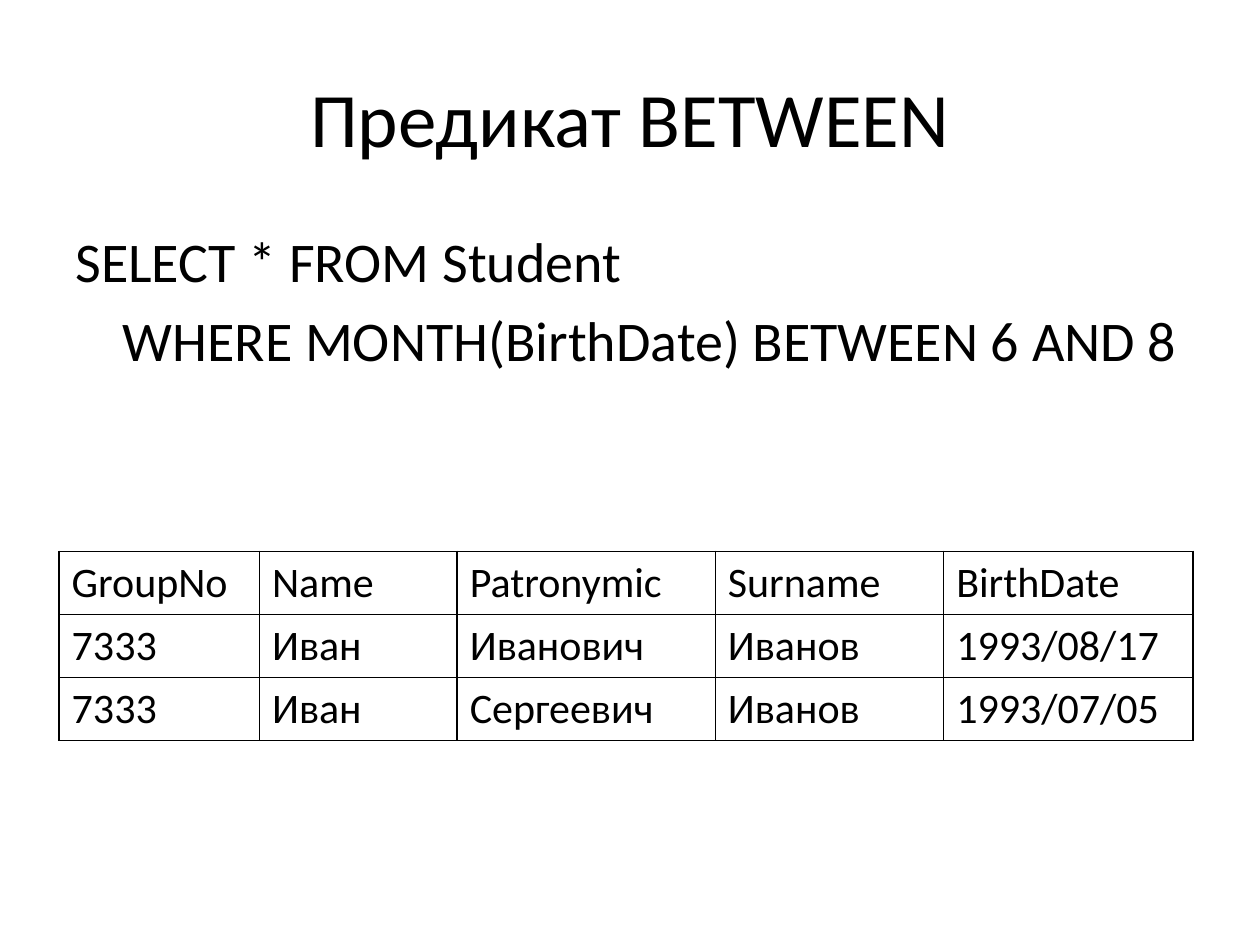
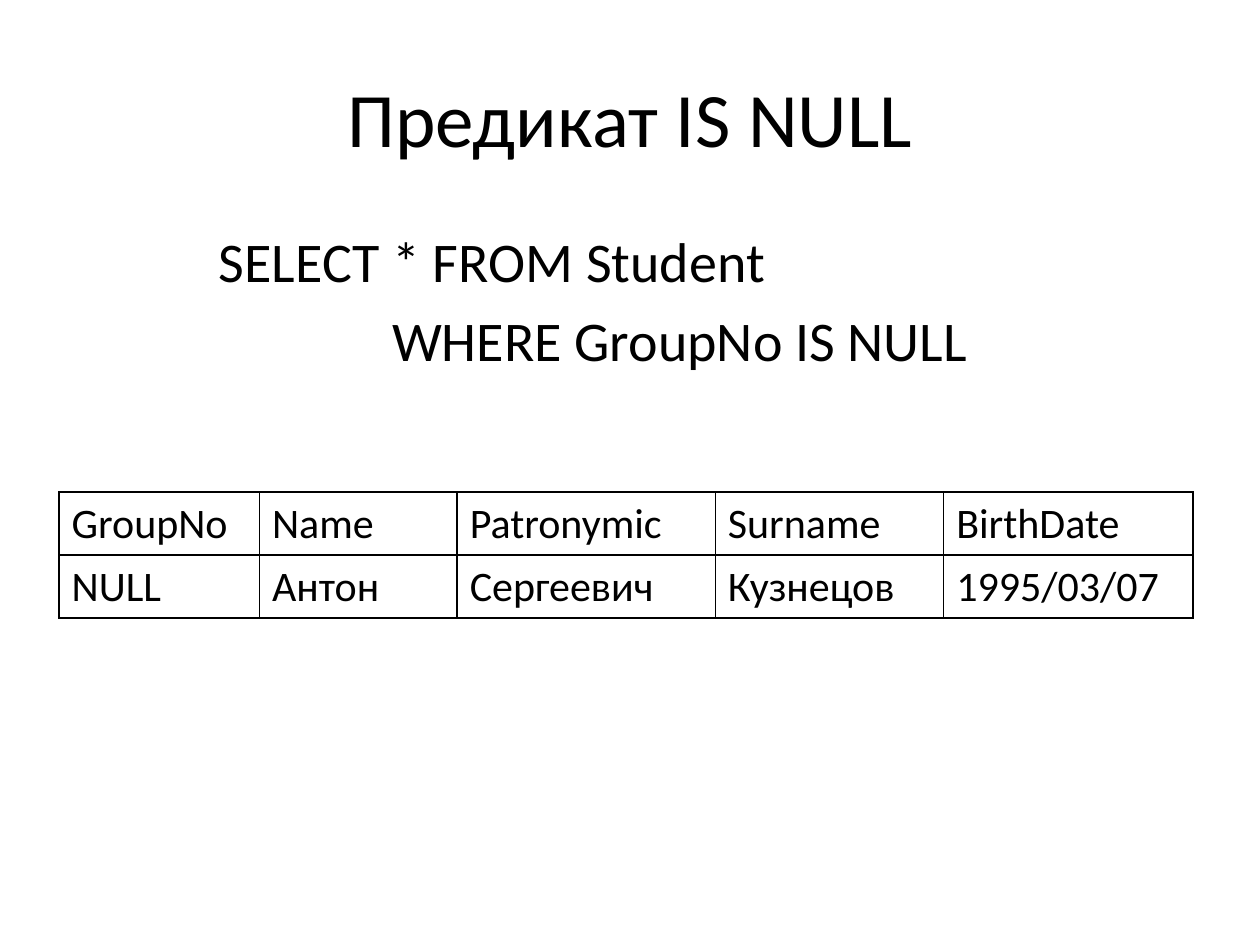
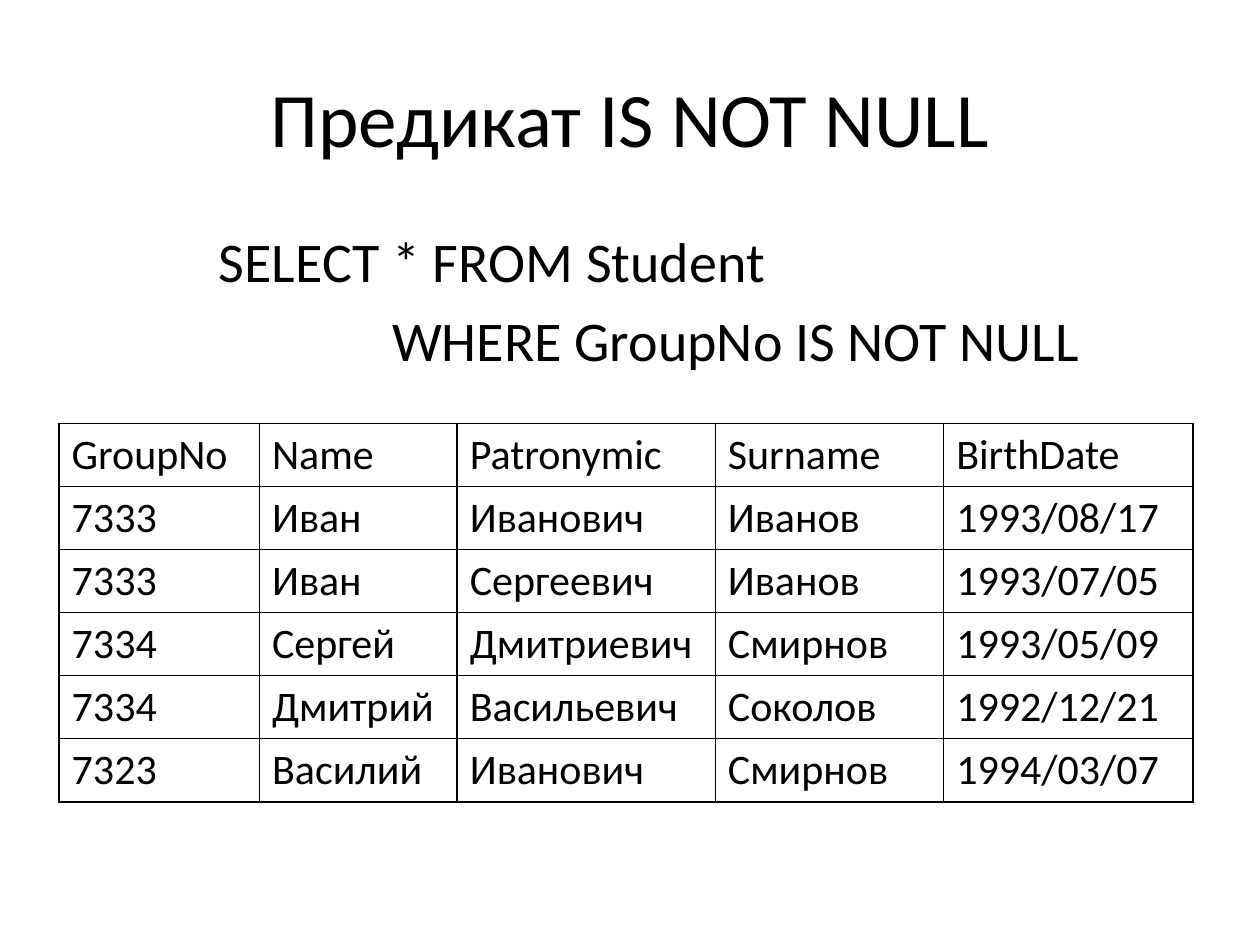
from pptx import Presentation
from pptx.dml.color import RGBColor
from pptx.enum.text import MSO_ANCHOR, PP_ALIGN
from pptx.oxml import parse_xml
from pptx.oxml.ns import nsdecls
from pptx.util import Pt

BLACK = RGBColor(0, 0, 0)
FONT = "Calibri"
TITLE_SIZE, QUERY_SIZE, CELL_SIZE = 44, 32, 24
TITLE_BOX = (36, 21.6, 648, 90)
QUERY_TOP, QUERY_RIGHT = 126, 684
TABLE_LEFT, ROW_HEIGHT = 33.8, 36
COLUMN_WIDTHS = (114.5, 113, 147.5, 130.5, 142.5)
HEADER = ("GroupNo", "Name", "Patronymic", "Surname", "BirthDate")
SUMMER_STUDENTS = [
    ("7333", "Иван", "Иванович", "Иванов", "1993/08/17"),
    ("7333", "Иван", "Сергеевич", "Иванов", "1993/07/05"),
]
UNGROUPED_STUDENTS = [("NULL", "Антон", "Сергеевич", "Кузнецов", "1995/03/07")]
GROUPED_STUDENTS = SUMMER_STUDENTS + [
    ("7334", "Сергей", "Дмитриевич", "Смирнов", "1993/05/09"),
    ("7334", "Дмитрий", "Васильевич", "Соколов", "1992/12/21"),
    ("7323", "Василий", "Иванович", "Смирнов", "1994/03/07"),
]


def add_run(paragraph, text, size):
    run = paragraph.add_run()
    run.text = text
    run.font.name = FONT
    run.font.size = Pt(size)
    run.font.color.rgb = BLACK


def place_title(slide, box, text):
    title = slide.shapes.title
    title.left, title.top, title.width, title.height = map(Pt, box)
    title.text_frame.vertical_anchor = MSO_ANCHOR.MIDDLE
    paragraph = title.text_frame.paragraphs[0]
    paragraph.alignment = PP_ALIGN.CENTER
    add_run(paragraph, text, TITLE_SIZE)


def add_query(slide, box, condition, indent):
    frame = slide.shapes.add_textbox(*map(Pt, box)).text_frame
    frame.word_wrap = True
    lines = (("SELECT * FROM Student", 0), (condition, indent))
    for index, (text, margin) in enumerate(lines):
        paragraph = frame.add_paragraph() if index else frame.paragraphs[0]
        paragraph.space_before = Pt(QUERY_SIZE * 0.2)
        paragraph._p.get_or_add_pPr().set("marL", str(Pt(margin)))
        add_run(paragraph, text, QUERY_SIZE)


def add_borders(cell):
    properties = cell._tc.get_or_add_tcPr()
    for position, side in enumerate(("lnL", "lnR", "lnT", "lnB")):
        properties.insert(position, parse_xml(
            f'<a:{side} {nsdecls("a")} w="{Pt(1)}"><a:solidFill>'
            f'<a:srgbClr val="{BLACK}"/></a:solidFill></a:{side}>'))


def add_result_table(slide, left, top, students):
    rows = [HEADER, *students]
    table = slide.shapes.add_table(
        len(rows), len(HEADER), Pt(left), Pt(top),
        Pt(sum(COLUMN_WIDTHS)), Pt(ROW_HEIGHT * len(rows))).table
    table.first_row = table.horz_banding = False
    for column, width in zip(table.columns, COLUMN_WIDTHS):
        column.width = Pt(width)
    for row, values in zip(table.rows, rows):
        row.height = Pt(ROW_HEIGHT)
        for cell, value in zip(row.cells, values):
            cell.fill.background()
            add_borders(cell)
            add_run(cell.text_frame.paragraphs[0], value, CELL_SIZE)


def add_predicate_slide(presentation, predicate, condition, query_left,
                        query_height, indent, table_top, students):
    slide = presentation.slides.add_slide(presentation.slide_layouts[5])
    place_title(slide, TITLE_BOX, f"Предикат {predicate}")
    query_box = (query_left, QUERY_TOP, QUERY_RIGHT - query_left, query_height)
    add_query(slide, query_box, condition, indent)
    add_result_table(slide, TABLE_LEFT, table_top, students)


presentation = Presentation()
presentation.slide_width, presentation.slide_height = Pt(720), Pt(540)
add_predicate_slide(presentation, "BETWEEN",
                    "WHERE MONTH(BirthDate) BETWEEN 6 AND 8",
                    36, 166.5, 27, 315, SUMMER_STUDENTS)
add_predicate_slide(presentation, "IS NULL", "WHERE GroupNo IS NULL",
                    118, 116, 99, 281.2, UNGROUPED_STUDENTS)
add_predicate_slide(presentation, "IS NOT NULL", "WHERE GroupNo IS NOT NULL",
                    118, 93.5, 99, 242, GROUPED_STUDENTS)
presentation.save("out.pptx")
